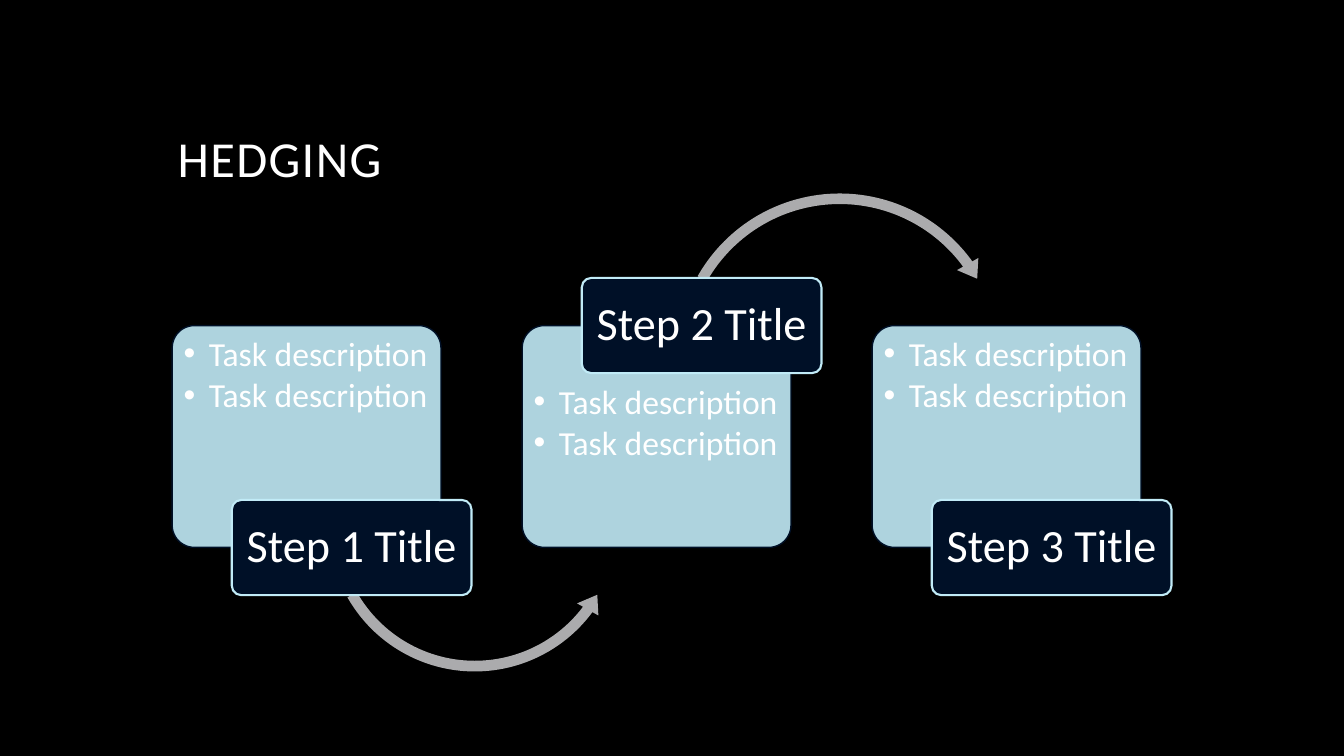
"""Build the Hedging slide: three alternating step cards joined by curved arrows."""
import pptx
import pptx.dml.color
import pptx.enum.shapes
import pptx.enum.text
import pptx.oxml.ns
import pptx.util
from lxml import etree

Pt = pptx.util.Pt
RGBColor = pptx.dml.color.RGBColor
SHAPE = pptx.enum.shapes.MSO_SHAPE
ALIGN = pptx.enum.text.PP_ALIGN
ANCHOR = pptx.enum.text.MSO_ANCHOR
qn = pptx.oxml.ns.qn

BLACK = RGBColor(0x00, 0x00, 0x00)
WHITE = RGBColor(0xFF, 0xFF, 0xFF)
NAVY = RGBColor(0x00, 0x10, 0x27)
PALE_BLUE = RGBColor(0xC1, 0xEB, 0xF7)
GREY = RGBColor(0xAB, 0xAB, 0xAD)


def write(shape, lines, size, align=ALIGN.LEFT, anchor=ANCHOR.TOP,
          insets=(7.2, 3.6, 7.2, 3.6), after=0, tracking=0, bullet=None):
    frame = shape.text_frame
    frame.word_wrap = True
    frame.vertical_anchor = anchor
    (frame.margin_left, frame.margin_top,
     frame.margin_right, frame.margin_bottom) = map(Pt, insets)
    frame.text = "\n".join(lines)
    for paragraph in frame.paragraphs:
        paragraph.alignment = align
        paragraph.line_spacing = 0.9
        paragraph.space_after = Pt(after)
        font = paragraph.runs[0].font
        font.name, font.size, font.color.rgb = "Calibri", Pt(size), WHITE
        if tracking:
            paragraph.runs[0]._r.get_or_add_rPr().set("spc", str(tracking * 100))
        if bullet:
            properties = paragraph._p.get_or_add_pPr()
            properties.set("marL", str(Pt(18)))
            properties.set("indent", str(-Pt(18)))
            etree.SubElement(properties, qn("a:buFont")).set("typeface", "Arial")
            etree.SubElement(properties, qn("a:buChar")).set("char", bullet)


def add_part(kind, box, adjustments, fill, line=None, line_width=1):
    part = slide.shapes.add_shape(kind, *map(Pt, box))
    part.shadow.inherit = False
    for index, value in enumerate(adjustments):
        part.adjustments[index] = value
    part.fill.solid()
    part.fill.fore_color.rgb = fill
    if line is None:
        part.line.fill.background()
    else:
        part.line.color.rgb = line
        part.line.width = Pt(line_width)
    return part


deck = pptx.Presentation()
deck.slide_width, deck.slide_height = Pt(960), Pt(540)
slide = deck.slides.add_slide(deck.slide_layouts[6])
slide.background.fill.solid()
slide.background.fill.fore_color.rgb = BLACK

heading = slide.shapes.add_textbox(Pt(119.8), Pt(30), Pt(720), Pt(108))
write(heading, ["HEDGING"], 36, anchor=ANCHOR.BOTTOM, tracking=1)

arrows = [
    (SHAPE.LEFT_CIRCULAR_ARROW, (229.7, 265.7, 218.9, 218.9),
     (0.035, 4.277, 22.032, 90.245, 0.04)),
    (SHAPE.CIRCULAR_ARROW, (478.1, 133.2, 243.4, 243.4),
     (0.031, 3.813, 194.431, 125.755, 0.036)),
    None,
]
for step, arrow in enumerate(arrows):
    left = 123 + 250 * step
    title_on_top = step == 1

    card = add_part(SHAPE.ROUNDED_RECTANGLE, (left, 232.6, 192, 158.4), [0.1],
                    PALE_BLUE, NAVY)
    card_colour = card.fill._xPr.find(qn("a:solidFill"))[0]
    etree.SubElement(card_colour, qn("a:alpha")).set("val", "90000")
    write(card, ["Task description"] * 2, 24, after=3.6, bullet="•",
          insets=(3.6, 37.8 if title_on_top else 3.6, 3.6, 3.6))

    if arrow:
        add_part(*arrow, GREY)

    step_title = add_part(SHAPE.ROUNDED_RECTANGLE,
                          (left + 42.6, 198.5 if title_on_top else 357.1, 171.2, 68),
                          [0.1], NAVY, PALE_BLUE, 1.5)
    write(step_title, [f"Step {step + 1} Title"], 33, align=ALIGN.CENTER,
          anchor=ANCHOR.MIDDLE, insets=(5, 3.6, 5, 3.6))

deck.save("out.pptx")
